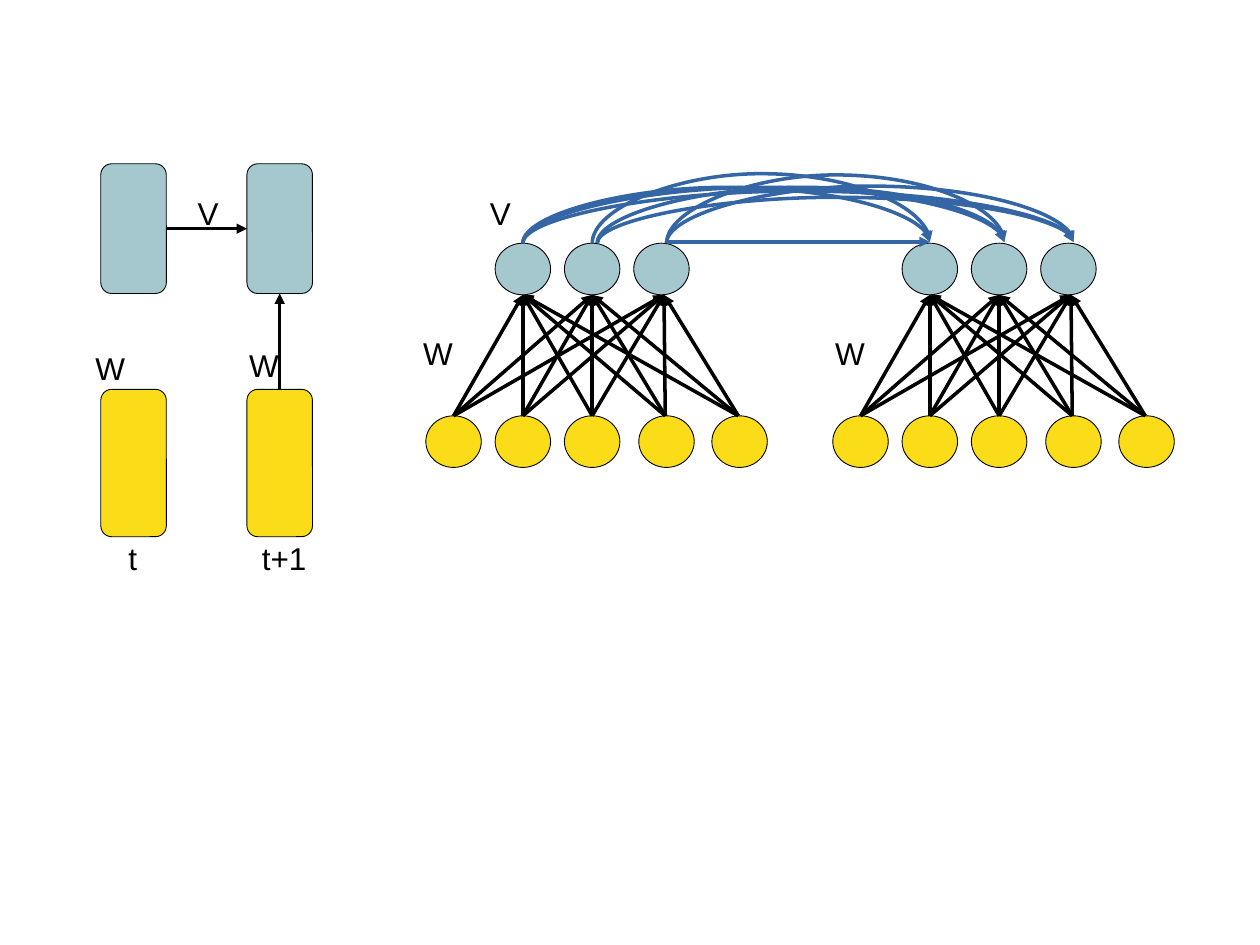
"""Build a slide of a recurrent network, folded as blocks and unfolded as units."""
import dataclasses
import itertools
import typing

import lxml.etree
import pptx
import pptx.dml.color
import pptx.enum.shapes
import pptx.oxml.ns
import pptx.util

Inches = pptx.util.Inches
Pt = pptx.util.Pt
RGB = pptx.dml.color.RGBColor
Kind = pptx.enum.shapes.MSO_SHAPE
Link = pptx.enum.shapes.MSO_CONNECTOR
qn = pptx.oxml.ns.qn


@dataclasses.dataclass(frozen=True)
class Theme:
    """Colours, font and sizes in points."""
    ink: RGB = RGB(0, 0, 0)
    teal: RGB = RGB(0xA5, 0xC7, 0xCE)
    gold: RGB = RGB(0xFA, 0xDC, 0x19)
    blue: RGB = RGB(0x34, 0x65, 0xA4)
    font: str = "Arial"
    text: float = 18
    edge: float = 0.5
    flow: float = 1.5
    weight: float = 2
    hair: float = 0


class Label(typing.NamedTuple):
    """A short text and the box that holds it."""
    text: str
    left: float
    top: float
    width: float = 0.36


class Arc(typing.NamedTuple):
    """A curved arrow between hidden units, with the height of its crest."""
    start: float
    end: float
    crest: float


THEME = Theme()
STEP = 3.23
COLUMNS = (0.8, 1.96)
INPUTS = (3.6, 4.15, 4.7, 5.29, 5.87)
HIDDEN = (4.15, 4.7, 5.25)
TAILS = (3.6, 4.15, 4.7, 5.28, 5.86)
HEADS = (4.15, 4.7, 5.27)
LABELS = (
    Label("W", 1.88, 2.7), Label("V", 1.47, 1.49), Label("t", 0.92, 4.23, 0.51),
    Label("W", 0.66, 2.72), Label("t+1", 1.98, 4.23, 0.6),
    Label("W", 3.26, 2.6), Label("W", 6.53, 2.6), Label("V", 3.79, 1.49),
)
ARCS = (
    Arc(4.15, 7.38, 1.48), Arc(4.74, 7.97, 1.48), Arc(5.29, 8.52, 1.47),
    Arc(4.74, 8.52, 1.56), Arc(4.15, 8.52, 1.51), Arc(4.15, 7.97, 1.48),
    Arc(5.29, 7.97, 1.38), Arc(4.7, 7.38, 1.37),
)


def node(shapes, kind, left: float, top: float, width: float, height: float, fill: RGB):
    """Draw one filled and outlined shape."""
    shape = shapes.add_shape(kind, Inches(left), Inches(top), Inches(width), Inches(height))
    shape.shadow.inherit = False
    shape.fill.solid()
    shape.fill.fore_color.rgb = fill
    shape.line.color.rgb = THEME.ink
    shape.line.width = Pt(THEME.edge)
    return shape


def arrow(shapes, kind, start: tuple, end: tuple, colour: RGB, width: float):
    """Draw one connector with an arrowhead at its end."""
    line = shapes.add_connector(kind, *(Inches(value) for value in start + end))
    line.line.color.rgb = colour
    line.line.width = Pt(width)
    lxml.etree.SubElement(line.get_or_add_ln(), qn("a:tailEnd"), type="triangle")
    lxml.etree.SubElement(line._element.spPr, qn("a:effectLst"))
    return line


def bend(line, ratio: float) -> None:
    """Set where a curved connector turns, as a share of its width."""
    guides = line._element.spPr.find(qn("a:prstGeom")).find(qn("a:avLst"))
    lxml.etree.SubElement(guides, qn("a:gd"), name="adj1", fmla=f"val {round(ratio * 100000)}")


def arch(shapes, arc: Arc) -> None:
    """Draw one arc as a curved connector turned by a quarter."""
    base, drop = 1.93, 0.01
    mid, level = (arc.start + arc.end) / 2, base - drop / 2
    half = (arc.end - arc.start) / 2
    line = arrow(shapes, Link.CURVE, (mid + drop / 2, level + half),
                 (mid - drop / 2, level - half), THEME.blue, THEME.hair)
    line._element.spPr.find(qn("a:xfrm")).set("rot", "5400000")
    bend(line, (base - arc.crest) / drop)


def write(shapes, label: Label) -> None:
    """Draw one label."""
    box = shapes.add_textbox(Inches(label.left), Inches(label.top),
                             Inches(label.width), Inches(0.33))
    box.text_frame.word_wrap = True
    run = box.text_frame.paragraphs[0].add_run()
    run.text = label.text
    run.font.name = THEME.font
    run.font.size = Pt(THEME.text)
    run.font.color.rgb = THEME.ink


def blocks(shapes) -> None:
    """Draw the folded network with its joined arrows."""
    upper = [node(shapes, Kind.ROUNDED_RECTANGLE, left, 1.3, 0.52, 1.03, THEME.teal)
             for left in COLUMNS]
    lower = [node(shapes, Kind.ROUNDED_RECTANGLE, left, 3.09, 0.52, 1.17, THEME.gold)
             for left in COLUMNS]
    across = arrow(shapes, Link.STRAIGHT, (1.32, 1.82), (1.96, 1.82), THEME.ink, THEME.flow)
    across.begin_connect(upper[0], 3)
    across.end_connect(upper[1], 1)
    rise = arrow(shapes, Link.STRAIGHT, (2.22, 3.09), (2.22, 2.33), THEME.ink, THEME.flow)
    rise.begin_connect(lower[1], 0)
    rise.end_connect(upper[1], 2)


def units(shapes, shift: float) -> None:
    """Draw one time step of the unfolded network."""
    wide, high = 0.44, 0.41
    for row, top, fill in ((INPUTS, 3.3, THEME.gold), (HIDDEN, 1.93, THEME.teal)):
        for mid in row:
            node(shapes, Kind.OVAL, mid + shift - wide / 2, top, wide, high, fill)
    for tail, head in itertools.product(TAILS, HEADS):
        arrow(shapes, Link.STRAIGHT, (tail + shift, 3.3), (head + shift, 2.34),
              THEME.ink, THEME.weight)


def main() -> None:
    """Build and save the slide."""
    deck = pptx.Presentation()
    deck.slide_width, deck.slide_height = Inches(10), Inches(7.5)
    shapes = deck.slides.add_slide(deck.slide_layouts[6]).shapes
    blocks(shapes)
    for shift in (0, STEP):
        units(shapes, shift)
    for arc in ARCS:
        arch(shapes, arc)
    level = arrow(shapes, Link.CURVE, (5.3, 1.92), (7.38, 1.92), THEME.blue, THEME.hair)
    bend(level, 0.06)
    for label in LABELS:
        write(shapes, label)
    deck.save("out.pptx")


if __name__ == "__main__":
    main()
